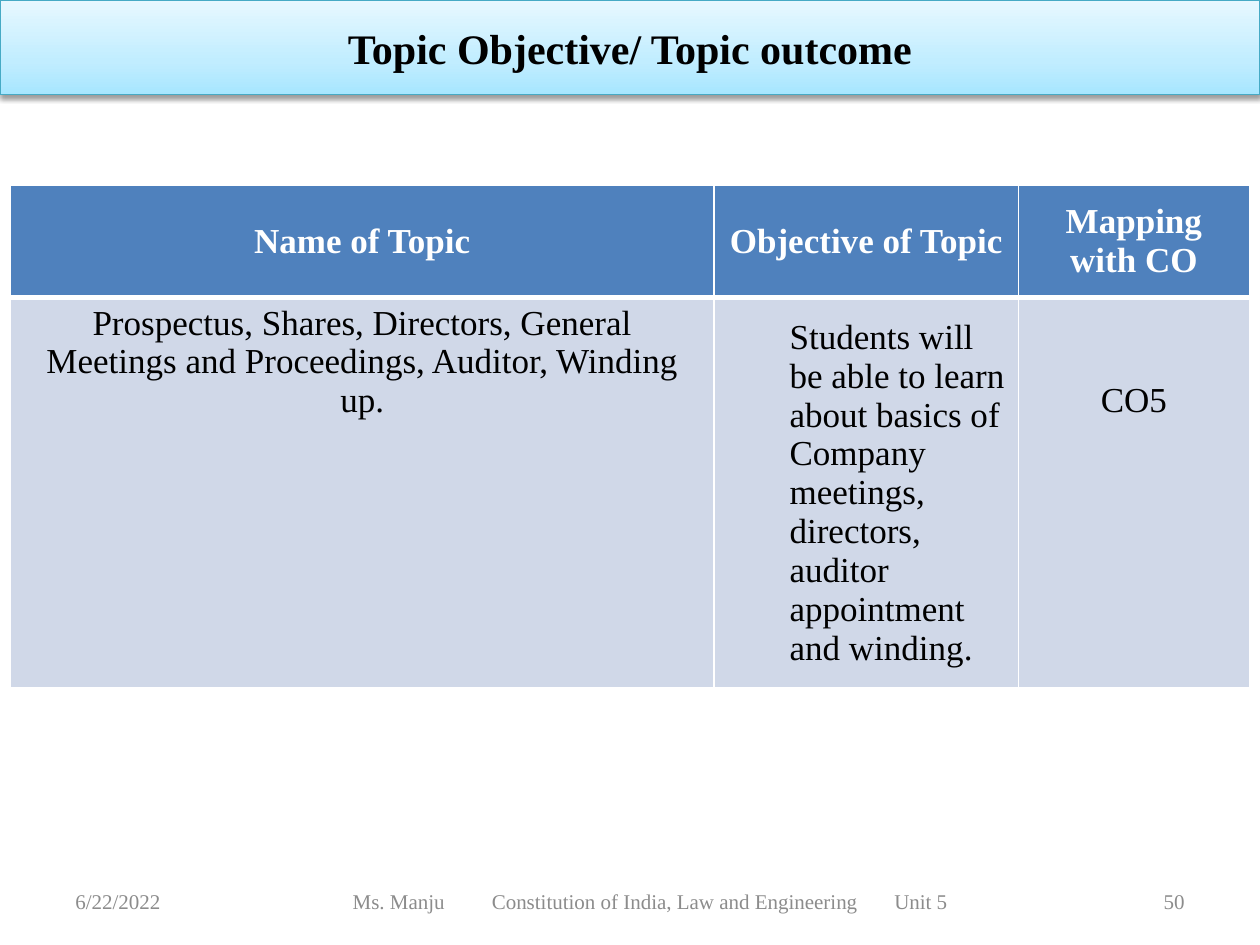
from dataclasses import dataclass, field
from typing import Any

from lxml.etree import SubElement
from pptx import Presentation
from pptx.dml.color import RGBColor as Rgb
from pptx.enum.shapes import MSO_SHAPE as Preset
from pptx.enum.text import MSO_ANCHOR as Anchor, PP_ALIGN as Align
from pptx.oxml.ns import qn
from pptx.util import Pt


@dataclass(frozen=True)
class Theme:
    font: str = "Times New Roman"
    title_size: float = 24
    table_size: float = 20
    footer_size: float = 12
    black: str = "000000"
    white: str = "FFFFFF"
    grey: str = "8C8C8C"
    header: str = "4F81BD"
    body: str = "D0D8E8"
    banner_line: str = "46AAC5"
    banner_stops: tuple = ((0, "A7E6FF"), (35, "C1EDFF"), (100, "E7F8FF"))


@dataclass(frozen=True)
class Footer:
    text: str
    left: float
    width: float
    align: Align
    inset: float = 7.2
    tabs: tuple = ()


@dataclass(frozen=True)
class Entry:
    text: str
    align: Align = Align.CENTER
    indent: float = 0
    format: dict[str, Any] = field(default_factory=dict)


THEME = Theme()

FOOTERS = (
    Footer("6/22/2022", 36, 168, Align.LEFT),
    Footer("Ms. Manju\tConstitution of India, Law and Engineering\tUnit 5",
           150, 444, Align.LEFT, 51.5, (79.5, 309.5)),
    Footer("50", 516, 168, Align.RIGHT),
)

MIDDLE = {"vertical_anchor": Anchor.MIDDLE}
HEADINGS = tuple(Entry(name, format=MIDDLE) for name in
                 ("Name of Topic", "Objective of Topic", "Mapping with CO"))
TOPIC = (
    Entry("Prospectus, Shares, Directors, General Meetings and Proceedings, "
          "Auditor, Winding up."),
    Entry("Students will be able to learn about basics of Company meetings, "
          "directors, auditor appointment and winding.",
          Align.LEFT, 36, MIDDLE),
    Entry("CO5", format={"margin_top": Pt(48)}),
)
COLUMN_WIDTHS = (402, 174, 132)
ROW_HEIGHTS = (64, 207)


def apply(target: Any, values: dict[str, Any]) -> None:
    for name, value in values.items():
        setattr(target, name, value)


def write(frame: Any, text: str, size: float, color: str, align: Align,
          bold: bool = False, indent: float = 0, tabs: tuple = ()) -> None:
    paragraph = frame.paragraphs[0]
    paragraph.text = text
    paragraph.alignment = align
    properties = paragraph._p.get_or_add_pPr()
    if indent:
        properties.set("marL", str(Pt(indent)))
        properties.set("indent", "0")
    if tabs:
        stops = SubElement(properties, qn("a:tabLst"))
        for position in tabs:
            SubElement(stops, qn("a:tab"), pos=str(Pt(position)), algn="l")
    for run in paragraph.runs:
        apply(run.font, {"name": THEME.font, "size": Pt(size), "bold": bold})
        run.font.color.rgb = Rgb.from_string(color)


def add_color(parent: Any, color: str) -> Any:
    return SubElement(parent, qn("a:srgbClr"), val=color)


def draw_banner(slide: Any, text: str) -> None:
    banner = slide.shapes.add_shape(Preset.RECTANGLE, 0, 0, Pt(720), Pt(54))
    banner.fill.gradient()
    banner.fill.gradient_angle = 90
    stops = banner._element.spPr.find(".//" + qn("a:gsLst"))
    for stop in list(stops):
        stops.remove(stop)
    for percent, color in THEME.banner_stops:
        add_color(SubElement(stops, qn("a:gs"), pos=str(percent * 1000)), color)
    banner.line.color.rgb = Rgb.from_string(THEME.banner_line)
    banner.line.width = Pt(0.75)
    banner.shadow.inherit = False
    effects = banner._element.spPr.find(qn("a:effectLst"))
    shadow = SubElement(effects, qn("a:outerShdw"), blurRad=str(Pt(3.1)),
                        dist=str(Pt(1.6)), dir="5400000", rotWithShape="0")
    SubElement(add_color(shadow, THEME.black), qn("a:alpha"), val="38000")
    apply(banner.text_frame, {"word_wrap": True, **MIDDLE})
    write(banner.text_frame, text, THEME.title_size, THEME.black,
          Align.CENTER, True)


def draw_footer(slide: Any, footer: Footer) -> None:
    frame = slide.shapes.add_textbox(
        Pt(footer.left), Pt(500.5), Pt(footer.width), Pt(28.75)).text_frame
    apply(frame, {"word_wrap": True, "margin_left": Pt(footer.inset), **MIDDLE})
    write(frame, footer.text, THEME.footer_size, THEME.grey, footer.align,
          tabs=footer.tabs)


def draw_cell(cell: Any, entry: Entry, is_heading: bool) -> None:
    properties = cell._tc.get_or_add_tcPr()
    widths = {"lnL": 1, "lnR": 1, "lnT": 1 if is_heading else 3,
              "lnB": 3 if is_heading else 1}
    for side, width in widths.items():
        border = SubElement(properties, qn(f"a:{side}"), w=str(Pt(width)))
        add_color(SubElement(border, qn("a:solidFill")), THEME.white)
    cell.fill.solid()
    cell.fill.fore_color.rgb = Rgb.from_string(
        THEME.header if is_heading else THEME.body)
    apply(cell, entry.format)
    write(cell.text_frame, entry.text, THEME.table_size,
          THEME.white if is_heading else THEME.black,
          entry.align, is_heading, entry.indent)


def draw_objectives(slide: Any) -> None:
    objectives = slide.shapes.add_table(
        len(ROW_HEIGHTS), len(COLUMN_WIDTHS), Pt(6), Pt(106),
        Pt(sum(COLUMN_WIDTHS)), Pt(sum(ROW_HEIGHTS))).table
    for column, width in zip(objectives.columns, COLUMN_WIDTHS):
        column.width = Pt(width)
    for row, height in zip(objectives.rows, ROW_HEIGHTS):
        row.height = Pt(height)
    for row_index, entries in enumerate((HEADINGS, TOPIC)):
        for column_index, entry in enumerate(entries):
            draw_cell(objectives.cell(row_index, column_index), entry,
                      row_index == 0)


def main() -> None:
    deck = Presentation()
    apply(deck, {"slide_width": Pt(720), "slide_height": Pt(540)})
    slide = deck.slides.add_slide(deck.slide_layouts[6])
    draw_banner(slide, "Topic Objective/ Topic outcome")
    for footer in FOOTERS:
        draw_footer(slide, footer)
    draw_objectives(slide)
    deck.save("out.pptx")


if __name__ == "__main__":
    main()
